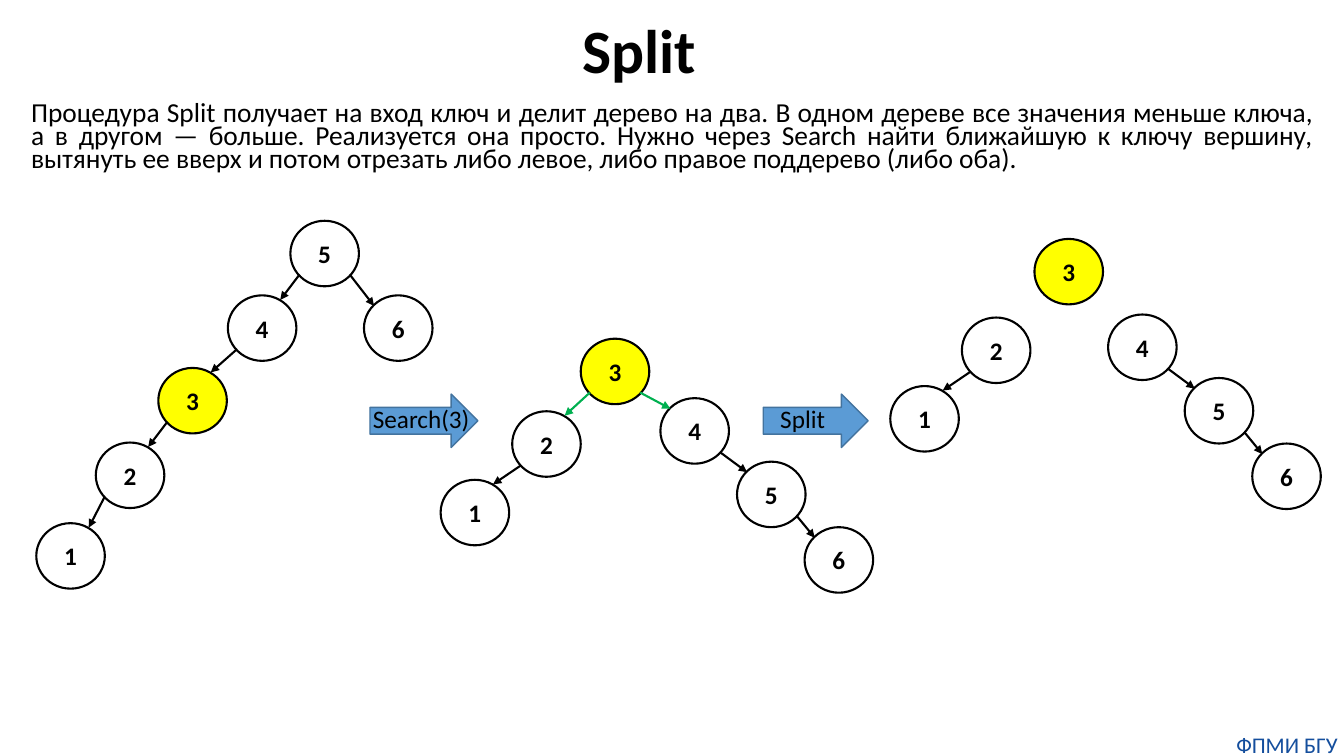
from lxml.etree import SubElement
from pptx import Presentation
from pptx.dml.color import RGBColor
from pptx.enum.shapes import MSO_CONNECTOR as Connector, MSO_SHAPE as Shape
from pptx.enum.text import MSO_ANCHOR as Anchor, PP_ALIGN as Align
from pptx.oxml.ns import qn
from pptx.util import Inches, Pt

BLACK, YELLOW, GREEN, BLUE = "000000", "FFFF00", "00B050", "5B9BD5"
NODE_WIDTH, NODE_HEIGHT = 0.68, 0.65
FULL_TREE = {"5": (2.52, 0), "4": (1.9, 0.74), "3": (1.21, 1.46),
             "2": (0.59, 2.2), "1": (0, 3), "6": (3.25, 0.74)}
FULL_EDGES = ["54", "43", "32", "21", "56"]
SMALLER_TREE = {"2": (0.71, 0), "1": (0, 0.68)}
SMALLER_EDGES = ["21"]
LARGER_TREE = {"4": (0, 0), "5": (0.76, 0.63), "6": (1.43, 1.28)}
LARGER_EDGES = ["45", "56"]


def color(value):
    """Turn a hex string into a colour."""
    return RGBColor.from_string(value)


def write(shape, text, size, fill=BLACK, bold=False, align=Align.LEFT, spacing=None):
    """Set and format the single paragraph of a shape."""
    shape.text_frame.text = text
    paragraph = shape.text_frame.paragraphs[0]
    paragraph.alignment = align
    if spacing:
        paragraph.line_spacing = spacing
    font = paragraph.runs[0].font
    font.name, font.size, font.bold = "Calibri", Pt(size), bold
    font.color.rgb = color(fill)


def add_text(slide, box, text, size, wrap=True, **style):
    """Add a text box and return it."""
    shape = slide.shapes.add_textbox(*map(Inches, box))
    shape.text_frame.word_wrap = wrap
    write(shape, text, size, **style)
    return shape


def add_outlined(slide, kind, box, fill, line, width):
    """Add a preset shape with its fill and outline."""
    shape = slide.shapes.add_shape(kind, *map(Inches, box))
    shape.shadow.inherit = False
    if fill:
        shape.fill.solid()
        shape.fill.fore_color.rgb = color(fill)
    else:
        shape.fill.background()
    shape.line.color.rgb = color(line)
    shape.line.width = Pt(width)
    return shape


def add_node(slide, left, top, key):
    """Add a tree node, highlighting the searched key."""
    box = (left, top, NODE_WIDTH, NODE_HEIGHT)
    node = add_outlined(slide, Shape.OVAL, box, YELLOW if key == "3" else None, BLACK, 1.5)
    frame = node.text_frame
    frame.margin_left = frame.margin_right = frame.margin_top = frame.margin_bottom = 0
    frame.vertical_anchor = Anchor.MIDDLE
    write(node, key, 18, bold=True, align=Align.CENTER)


def add_edge(slide, parent, child, line=BLACK):
    """Draw an arrow between the rims of two nodes given by their corners."""
    middle_x, middle_y = NODE_WIDTH / 2, NODE_HEIGHT / 2
    goes_left = child[0] < parent[0]
    start_x = -0.25 if goes_left else 0.25
    end_x, end_y = (0.18, -0.28) if goes_left else (-0.24, -0.22)
    points = (parent[0] + middle_x + start_x, parent[1] + middle_y + 0.21,
              child[0] + middle_x + end_x, child[1] + middle_y + end_y)
    edge = slide.shapes.add_connector(Connector.STRAIGHT, *map(Inches, points))
    edge.line.color.rgb = color(line)
    edge.line.width = Pt(1.5)
    SubElement(edge.line._get_or_add_ln(), qn("a:tailEnd"), type="triangle")
    SubElement(edge._element.spPr, qn("a:effectLst"))


def add_tree(slide, left, top, nodes, edges):
    """Place a tree at its corner and return the node corners."""
    corners = {key: (left + x, top + y) for key, (x, y) in nodes.items()}
    for key, corner in corners.items():
        add_node(slide, *corner, key)
    for parent, child in edges:
        add_edge(slide, corners[parent], corners[child])
    return corners


def add_branches(slide, root, smaller, larger, joined):
    """Place the root and its two subtrees, joined or cut off."""
    add_node(slide, *root, "3")
    left_branch = add_tree(slide, *smaller, SMALLER_TREE, SMALLER_EDGES)
    right_branch = add_tree(slide, *larger, LARGER_TREE, LARGER_EDGES)
    if joined:
        add_edge(slide, root, left_branch["2"], GREEN)
        add_edge(slide, root, right_branch["4"], GREEN)


def add_step(slide, left, top, width, label, label_offset):
    """Add a block arrow with its label."""
    add_outlined(slide, Shape.RIGHT_ARROW, (left, top, width, 0.53), BLUE, "43739E", 1)
    add_text(slide, (left + label_offset, top + 0.04, 1.21, 0.4), label, 18)


def add_heading(slide, left, top, width):
    """Add the title, the description and the footer."""
    title = add_text(slide, (left + 5.47, top, 1.98, 1.22), "Split", 44, bold=True, spacing=0.9)
    title.text_frame.vertical_anchor = Anchor.MIDDLE
    add_text(slide, (left, top + 1.06, width, 1.03),
             "Процедура Split получает на вход ключ и делит дерево на два. "
             "В одном дереве все значения меньше ключа, а в другом — больше. "
             "Реализуется она просто. Нужно через Search найти ближайшую к ключу вершину, "
             "вытянуть ее вверх и потом отрезать либо левое, либо правое поддерево (либо оба).",
             19.6, align=Align.JUSTIFY, spacing=0.7)


def add_footer(slide, left, top, width):
    """Add the department name in the corner."""
    footer = add_text(slide, (left, top, width, 0.27), "ФПМИ БГУ", 16, wrap=False,
                      fill="144E9D", align=Align.CENTER)
    frame = footer.text_frame
    frame.margin_left = frame.margin_right = frame.margin_top = frame.margin_bottom = 0


def main():
    """Build and save the slide."""
    presentation = Presentation()
    presentation.slide_width, presentation.slide_height = Inches(13.33), Inches(7.5)
    slide = presentation.slides.add_slide(presentation.slide_layouts[6])
    add_footer(slide, 12.2, 7.25, 1.13)
    add_heading(slide, 0.21, -0.08, 12.92)
    add_tree(slide, 0.36, 2.19, FULL_TREE, FULL_EDGES)
    add_branches(slide, (5.76, 3.36), (4.37, 4.08), (6.55, 3.95), True)
    add_step(slide, 3.67, 3.91, 1.07, "Search(3)", -0.07)
    add_branches(slide, (10.26, 2.37), (8.83, 3.15), (10.99, 3.12), False)
    add_step(slide, 7.57, 3.91, 1.04, "Split", 0.07)
    presentation.save("out.pptx")


if __name__ == "__main__":
    main()
